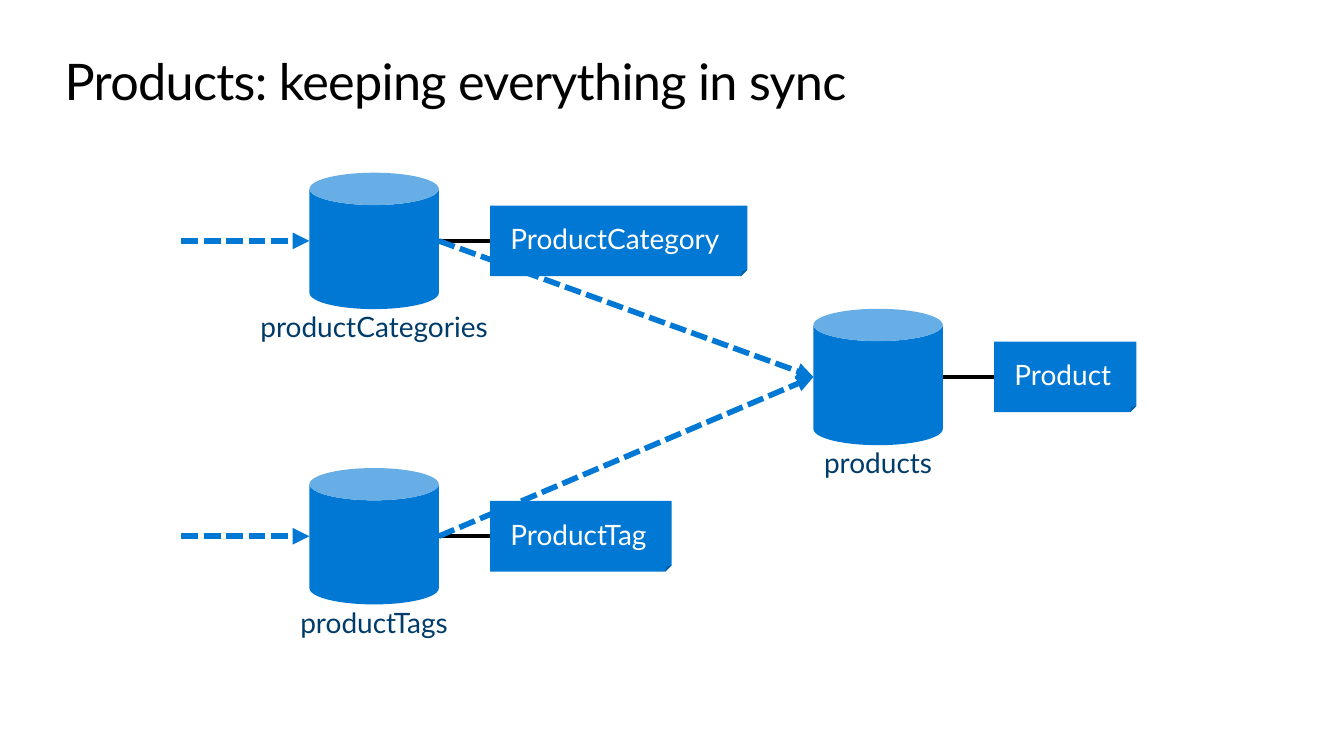
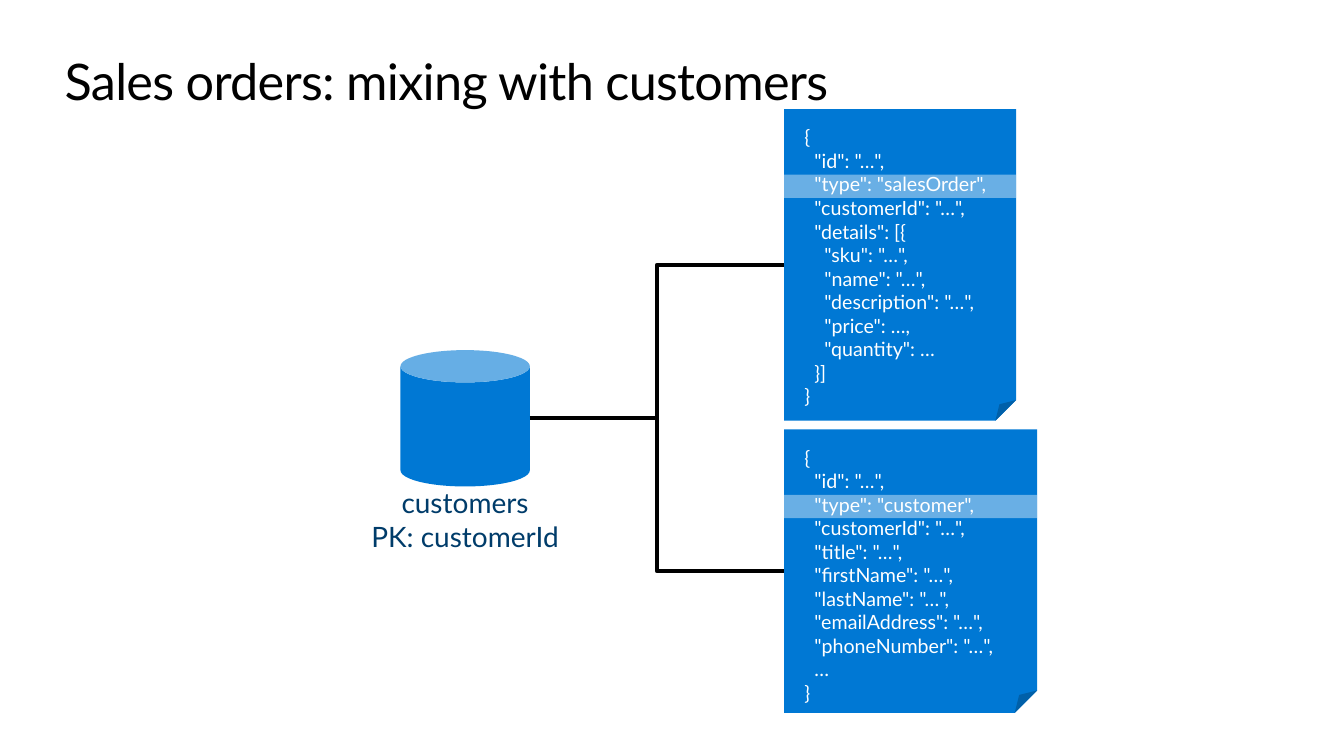
from lxml.etree import SubElement
from pptx import Presentation
from pptx.dml.color import RGBColor
from pptx.enum.dml import MSO_LINE
from pptx.enum.shapes import MSO_CONNECTOR as LINK, MSO_SHAPE as SHAPE
from pptx.enum.text import MSO_ANCHOR as ANCHOR, PP_ALIGN as ALIGN
from pptx.oxml.ns import qn
from pptx.util import Inches, Pt

COLUMNS, ROWS = 80, 45
CELL = Inches(1 / 6)
FONT = "Lato"
BLUE, NAVY, BLACK, WHITE = "0078D4", "003C6A", "000000", "FFFFFF"
STORE_WIDTH, STORE_HEIGHT = 7.7, 8.12
CARD_GAP, CARD_HEIGHT = 3.06, 4.2
CARD_INSETS = (1.2, 0.96, 1.2, 0.96)
MARK_TOP, MARK_HEIGHT = 3.9, 1.38

SALES_ORDER = """{
  "id": "…",
  "type": "salesOrder",
  "customerId": "…",
  "details": [{
    "sku": "…",
    "name": "…",
    "description": "…",
    "price": …,
    "quantity": …
  }]
}"""

CUSTOMER = """{
  "id": "…",
  "type": "customer",
  "customerId": "…",
  "title": "…",
  "firstName": "…",
  "lastName": "…",
  "emailAddress": "…",
  "phoneNumber": "…",
  …
}"""


def cells(*counts):
    """Turn counts of grid cells into slide lengths."""
    return [round(CELL * count) for count in counts]


def paint(target, color):
    """Set a fill or a font to a solid hex colour."""
    if hasattr(target, "solid"):
        target.solid()
        target.fore_color.rgb = RGBColor.from_string(color)
    else:
        target.color.rgb = RGBColor.from_string(color)


def write(box, text, size, color, insets=(0, 0, 0, 0), align=ALIGN.LEFT,
          anchor=ANCHOR.TOP, wrap=True, tracking=None):
    """Write each line of the text as a paragraph of the box."""
    frame = box.text_frame
    frame.word_wrap = wrap
    frame.vertical_anchor = anchor
    (frame.margin_left, frame.margin_top,
     frame.margin_right, frame.margin_bottom) = cells(*insets)
    for index, line in enumerate(text.split("\n")):
        para = frame.add_paragraph() if index else frame.paragraphs[0]
        para.alignment = align
        span = para.add_run()
        span.text = line
        span.font.name = FONT
        span.font.size = Pt(size)
        paint(span.font, color)
        if tracking:
            span.font._element.set("spc", str(round(tracking * 100)))


def add_page(deck, title):
    """Add a blank page with the shared title style."""
    page = deck.slides.add_slide(deck.slide_layouts[6])
    box = page.shapes.add_textbox(*cells(3.85, 3, 72.3, 3.66))
    write(box, title, 36, BLACK, tracking=-0.5)
    return page


def add_block(page, preset, place, color):
    """Add a flat filled shape without outline or shadow."""
    block = page.shapes.add_shape(preset, *cells(*place))
    block.shadow.inherit = False
    block.line.fill.background()
    paint(block.fill, color)
    return block


def add_store(page, left, middle, label, label_inset=10.2):
    """Add a data store with its label below; return its right-hand port."""
    place = (left, middle - STORE_HEIGHT / 2, STORE_WIDTH, STORE_HEIGHT)
    store = add_block(page, SHAPE.CAN, place, BLUE)
    write(store, label, 20, NAVY, (0, label_inset, 0, 0.96),
          ALIGN.CENTER, ANCHOR.MIDDLE, wrap=False)
    return left + STORE_WIDTH, middle


def add_card(page, place, text, size):
    """Add a document card with a small folded corner."""
    card = add_block(page, SHAPE.FOLDED_CORNER, place, BLUE)
    guides = card._element.spPr.find(qn("a:prstGeom")).get_or_add_avLst()
    SubElement(guides, qn("a:gd"), name="adj", fmla="val 8900")
    write(card, text, size, WHITE, CARD_INSETS)
    return card


def add_link(page, start, end, kind=LINK.STRAIGHT, color=BLACK, width=3):
    """Add a connector line between two grid points."""
    link = page.shapes.add_connector(kind, *cells(*start, *end))
    paint(link.line.fill, color)
    link.line.width = Pt(width)
    SubElement(link._element.spPr, qn("a:effectLst"))
    return link


def add_flow(page, start, end):
    """Add a dashed arrow that shows data moving."""
    flow = add_link(page, start, end, color=BLUE, width=4)
    flow.line.dash_style = MSO_LINE.SQUARE_DOT
    SubElement(flow.line._get_or_add_ln(), qn("a:tailEnd"), type="triangle")


def add_entity(page, left, middle, label, document, card_width):
    """Add a store linked to a one-line card; return the store's port."""
    port = add_store(page, left, middle, label)
    card_left = port[0] + CARD_GAP
    place = (card_left, middle - CARD_HEIGHT / 2, card_width, CARD_HEIGHT)
    card = add_card(page, place, document, 20)
    add_link(page, port, (card_left, middle)).end_connect(card, 1)
    return port


def add_mark(page, left, card_top, width):
    """Highlight the type line of a card with a translucent band."""
    place = (left, card_top + MARK_TOP, width, MARK_HEIGHT)
    mark = add_block(page, SHAPE.RECTANGLE, place, WHITE)
    tint = mark._element.spPr.find(qn("a:solidFill"))[0]
    SubElement(tint, qn("a:alpha"), val="41000")


def build_products(deck):
    """Build the page on keeping products in sync."""
    page = add_page(deck, "Products: keeping everything in sync")
    source_left, target_left, flow_left, target_middle = 18.42, 48.42, 10.8, 22.44
    sources = [(14.34, "productCategories", "ProductCategory", 15.3),
               (31.92, "productTags", "ProductTag", 10.8)]
    ports = [add_entity(page, source_left, *source) for source in sources]
    add_entity(page, target_left, target_middle, "products", "Product", 8.46)
    for port in ports:
        add_flow(page, port, (target_left, target_middle))
        add_flow(page, (flow_left, port[1]), (source_left, port[1]))


def build_orders(deck):
    """Build the page on sales orders stored with customers."""
    page = add_page(deck, "Sales orders: mixing with customers")
    port = add_store(page, 23.84, 24.9, "customers\nPK: customerId", 12)
    card_left = 46.68
    for top, width, height, text in [(6.5, 13.8, 18.54, SALES_ORDER),
                                     (25.56, 15.06, 16.88, CUSTOMER)]:
        add_link(page, port, (card_left, top + height / 2), LINK.ELBOW)
        add_card(page, (card_left, top, width, height), text, 14)
        add_mark(page, card_left, top, width)


def main():
    """Build and save the deck."""
    deck = Presentation()
    deck.slide_width, deck.slide_height = cells(COLUMNS, ROWS)
    build_products(deck)
    build_orders(deck)
    deck.save("out.pptx")


if __name__ == "__main__":
    main()
